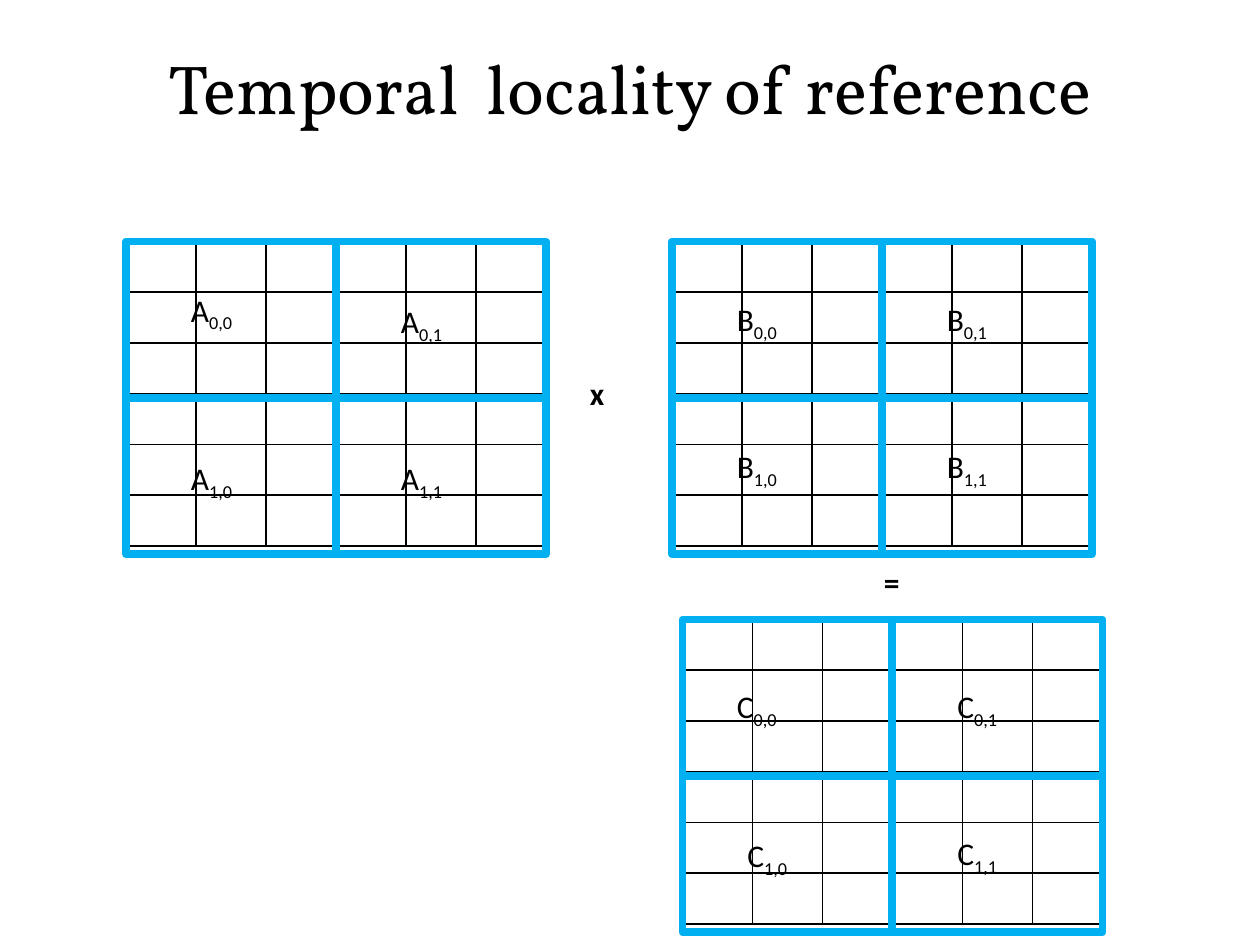
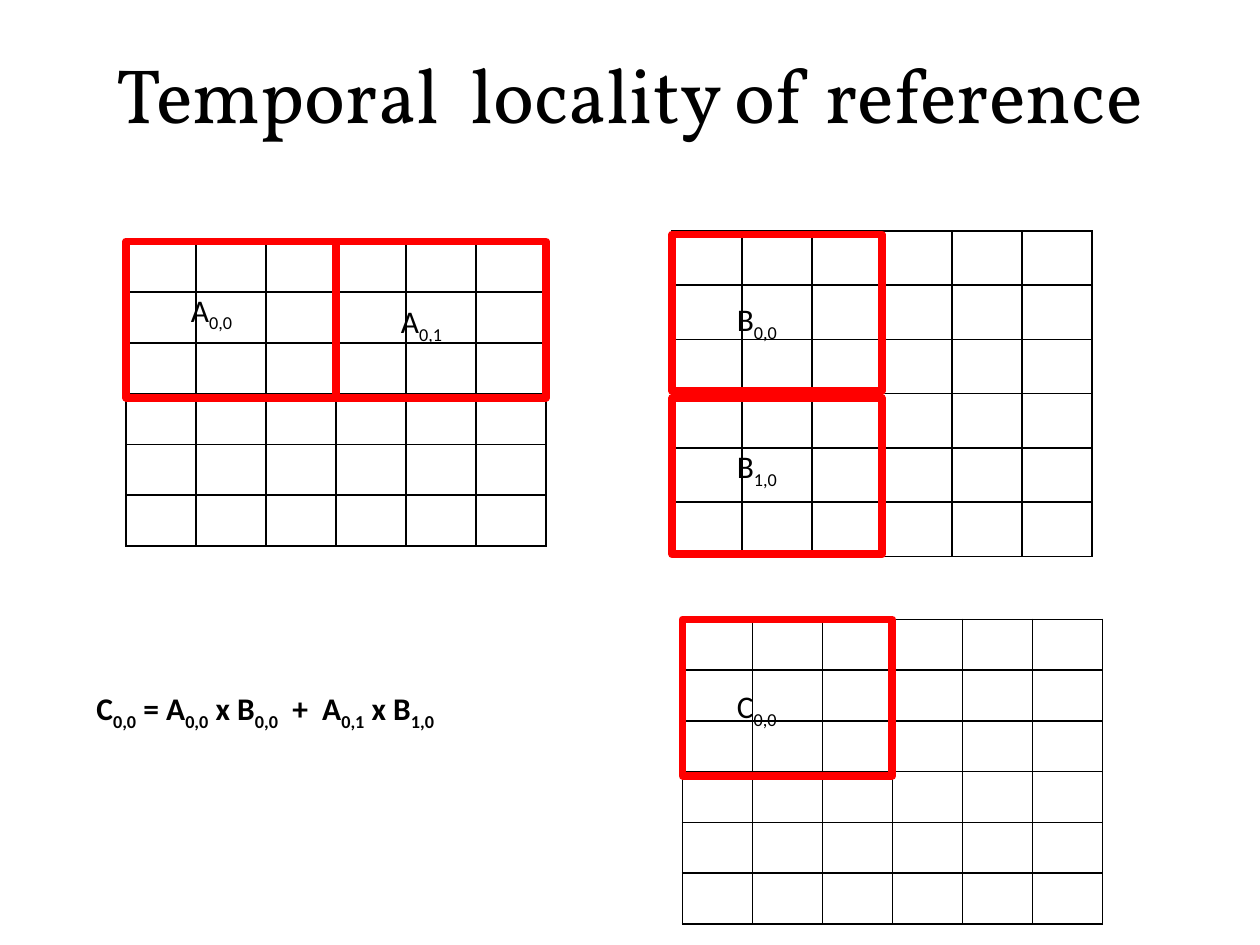
import pptx
import pptx.dml.color
import pptx.enum.dml
import pptx.enum.shapes
import pptx.enum.text
import pptx.oxml
import pptx.oxml.ns
import pptx.util
from pptx.util import Pt

BLACK = pptx.dml.color.RGBColor(0x00, 0x00, 0x00)
BLUE = pptx.dml.color.RGBColor(0x00, 0xB0, 0xF0)
RED = pptx.dml.color.RGBColor(0xFF, 0x00, 0x00)

TITLE = "Temporal  locality of reference"
TITLE_FONT, BODY_FONT = "Vollkorn", "Calibri"
BODY_SIZE = 18

CELLS = 6                     # rows and columns of each matrix
CELL_WIDTH = 40
BLOCK_WIDTH, BLOCK_HEIGHT = 120, 89.25
BLOCK_STEP = 89.5             # distance between block rows
LABEL_WIDTH, LABEL_HEIGHT = 66, 29
ALL_BLOCKS = [(0, 0), (0, 1), (1, 1), (1, 0)]

# Left and top of each label; the part after a bar is a subscript.
LABELS = {
    "A|0,0": (102, 162.5), "A|0,1": (222, 169),
    "A|1,0": (102, 259), "A|1,1": (222, 259),
    "B|0,0": (414, 168), "B|0,1": (534, 168),
    "B|1,0": (414, 252), "B|1,1": (534, 252),
    "C|0,0": (414, 389), "C|0,1": (540, 389),
    "C|1,0": (420, 474), "C|1,1": (540, 473),
}

# Matrix: left, top, row height, and blocks as (row, column).
# Loose blocks: left, top, dotted. Bold texts: text, left, top, width.
SLIDES = [
    {
        "title_size": 39.6, "title_height": 56, "color": BLUE,
        "matrices": [(72, 138, 29, ALL_BLOCKS), (384, 138, 29, ALL_BLOCKS),
                     (390, 354, 29, ALL_BLOCKS)],
        "loose_blocks": [],
        "labels": list(LABELS),
        "bold_texts": [("x", 330, 210, 30), ("=", 498, 318, 30)],
    },
    {
        "title_size": 44, "title_height": 62.5, "color": RED,
        "matrices": [(72, 138, 29, [(0, 0), (0, 1)]), (384, 132, 31, []),
                     (390, 354, 29, [])],
        "loose_blocks": [(384, 134, False), (384, 227.5, False),
                         (390, 354, True), (390, 354, False)],
        "labels": ["A|0,0", "A|0,1", "B|0,0", "B|1,0", "C|0,0"],
        "bold_texts": [
            ("C|0,0| = A|0,0| x B|0,0|  +  A|0,1| x B|1,0", 48, 390, 300)],
    },
]


def add_text(page, text, left, top, width, height=LABEL_HEIGHT,
             size=BODY_SIZE, font=BODY_FONT, bold=False):
    """Add a text box whose bar-separated parts alternate with subscripts."""
    box = page.shapes.add_textbox(Pt(left), Pt(top), Pt(width), Pt(height))
    box.text_frame.word_wrap = True
    para = box.text_frame.paragraphs[0]
    for index, part in enumerate(text.split("|")):
        span = para.add_run()
        span.text = part
        span.font.size = Pt(size)
        span.font.name = font
        span.font.bold = bold
        span.font.color.rgb = BLACK
        if index % 2:
            span.font._element.set("baseline", "-25000")
    return box


def add_title(page, size, height):
    """Add the centred slide title."""
    box = add_text(page, TITLE, 36, 21.6, 648, height, size, TITLE_FONT)
    box.text_frame.vertical_anchor = pptx.enum.text.MSO_ANCHOR.MIDDLE
    box.text_frame.paragraphs[0].alignment = pptx.enum.text.PP_ALIGN.CENTER


def style_cell(cell):
    """Give a cell thin black borders, no margins and no fill."""
    cell.margin_left = cell.margin_right = 0
    cell.margin_top = cell.margin_bottom = 0
    properties = cell._tc.get_or_add_tcPr()
    for side in "LRTB":
        properties.append(pptx.oxml.parse_xml(
            f'<a:ln{side} {pptx.oxml.ns.nsdecls("a")} w="{Pt(1)}"><a:solidFill>'
            f'<a:srgbClr val="{BLACK}"/></a:solidFill></a:ln{side}>'))
    cell.fill.background()


def add_matrix(page, left, top, row_height):
    """Add an empty square table."""
    table = page.shapes.add_table(
        CELLS, CELLS, Pt(left), Pt(top),
        Pt(CELLS * CELL_WIDTH), Pt(CELLS * row_height)).table
    table.first_row = table.horz_banding = False
    for column in table.columns:
        column.width = Pt(CELL_WIDTH)
    for row in table.rows:
        row.height = Pt(row_height)
    for cell in table.iter_cells():
        style_cell(cell)


def add_block(page, left, top, color, dotted=False):
    """Outline one block of a matrix."""
    block = page.shapes.add_shape(
        pptx.enum.shapes.MSO_SHAPE.RECTANGLE, Pt(left), Pt(top),
        Pt(BLOCK_WIDTH), Pt(BLOCK_HEIGHT))
    block.shadow.inherit = False
    block.fill.background()
    block.line.color.rgb = color
    block.line.width = Pt(4.5)
    if dotted:
        block.line.dash_style = pptx.enum.dml.MSO_LINE.ROUND_DOT


def build_slide(deck, content):
    """Build one slide from its content."""
    page = deck.slides.add_slide(deck.slide_layouts[6])
    add_title(page, content["title_size"], content["title_height"])
    for left, top, row_height, blocks in content["matrices"]:
        add_matrix(page, left, top, row_height)
        for row, column in blocks:
            add_block(page, left + column * BLOCK_WIDTH,
                      top + row * BLOCK_STEP, content["color"])
    for left, top, dotted in content["loose_blocks"]:
        add_block(page, left, top, content["color"], dotted)
    for label in content["labels"]:
        add_text(page, label, *LABELS[label], LABEL_WIDTH)
    for text, left, top, width in content["bold_texts"]:
        add_text(page, text, left, top, width, bold=True)


deck = pptx.Presentation()
deck.slide_width, deck.slide_height = Pt(720), Pt(540)
for content in SLIDES:
    build_slide(deck, content)
deck.save("out.pptx")
